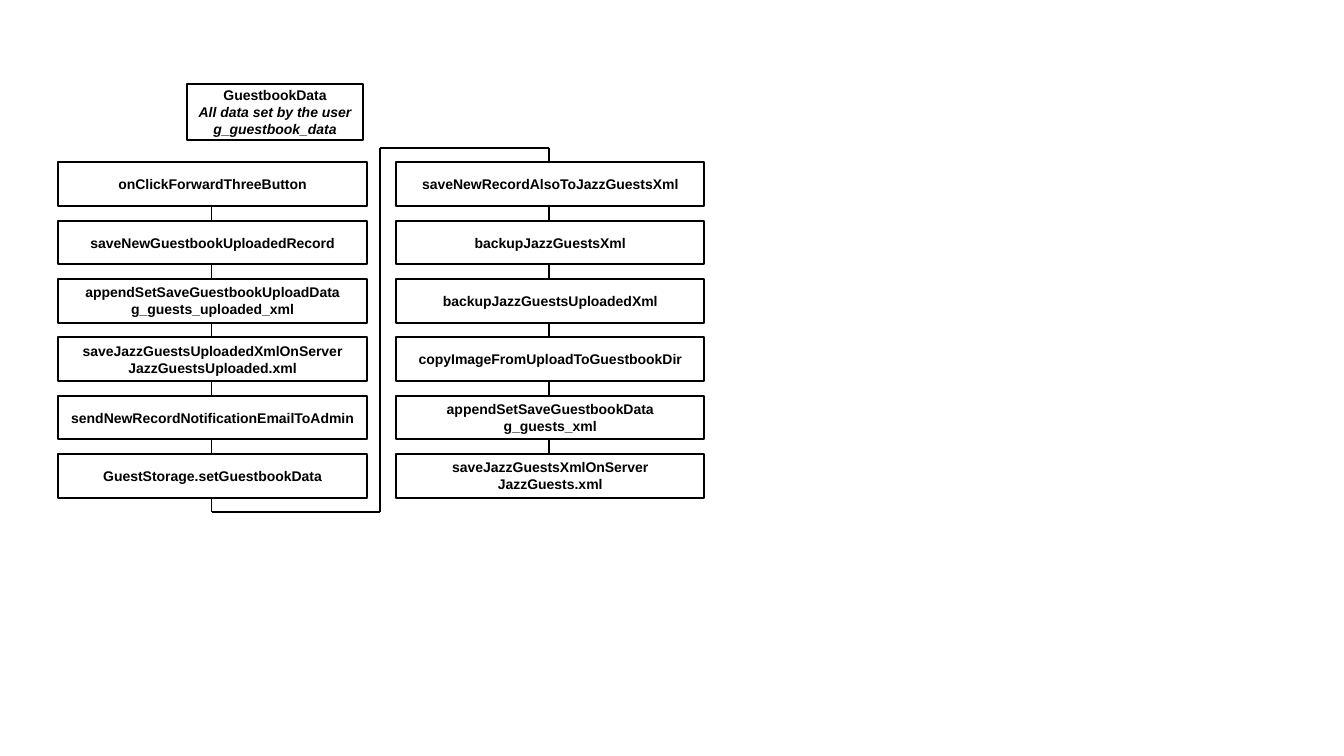
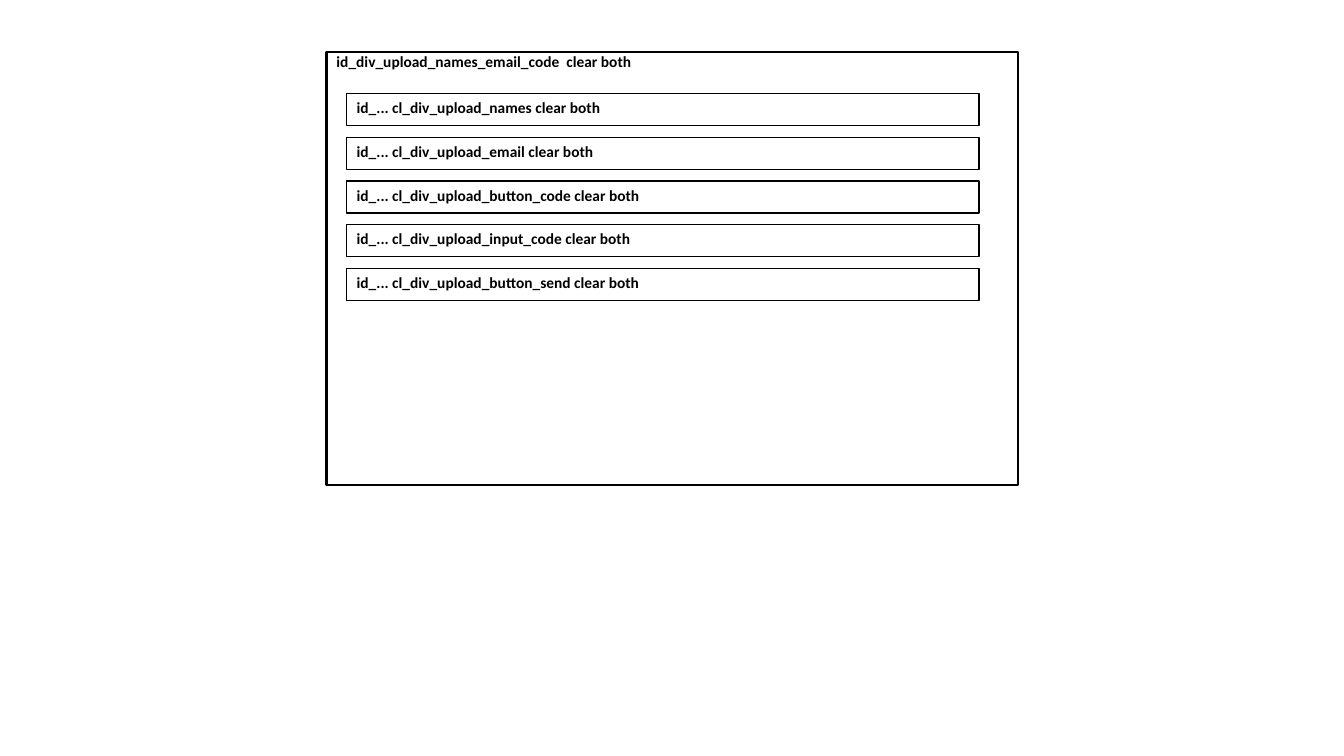
from pptx import Presentation
from pptx.dml.color import RGBColor
from pptx.enum.shapes import MSO_CONNECTOR, MSO_SHAPE
from pptx.enum.text import MSO_ANCHOR, PP_ALIGN
from pptx.oxml.ns import qn
from pptx.util import Cm, Pt
from lxml.etree import SubElement

COLORS = {"ink": "000000"}


class DiagramDeck:
    """Holds the shared style and the slide being drawn."""

    ink = RGBColor.from_string(COLORS["ink"])
    flow_font = ("Arial", 10)
    layout_font = ("Calibri", 11)

    def __init__(self):
        self.presentation = Presentation()
        self.presentation.slide_width = Cm(33.87)
        self.presentation.slide_height = Cm(19.05)
        self.slide = None

    def new_slide(self):
        blank = self.presentation.slide_layouts[6]
        self.slide = self.presentation.slides.add_slide(blank)

    def outlined_box(self, left, top, width, height, text, font, line_width,
                     align, anchor):
        box = self.slide.shapes.add_shape(
            MSO_SHAPE.RECTANGLE, Cm(left), Cm(top), Cm(width), Cm(height))
        box.shadow.inherit = False
        box.fill.background()
        box.line.color.rgb = self.ink
        box.line.width = Pt(line_width)
        frame = box.text_frame
        frame.word_wrap = True
        frame.vertical_anchor = anchor
        frame.text = text
        for paragraph in frame.paragraphs:
            paragraph.alignment = align
            for run in paragraph.runs:
                run.font.name = font[0]
                run.font.size = Pt(font[1])
                run.font.bold = True
                run.font.color.rgb = self.ink
        return box

    def flow_box(self, left, top, width, height, text):
        return self.outlined_box(left, top, width, height, text, self.flow_font,
                                 1.5, PP_ALIGN.CENTER, MSO_ANCHOR.MIDDLE)

    def div_box(self, left, top, width, height, text, line_width=1):
        return self.outlined_box(left, top, width, height, text, self.layout_font,
                                 line_width, PP_ALIGN.LEFT, MSO_ANCHOR.TOP)

    def polyline(self, *points):
        """Join consecutive points with straight connectors."""
        for (x1, y1), (x2, y2) in zip(points, points[1:]):
            link = self.slide.shapes.add_connector(
                MSO_CONNECTOR.STRAIGHT, Cm(x1), Cm(y1), Cm(x2), Cm(y2))
            link.line.color.rgb = self.ink
            link.line.width = Pt(1.25)
            SubElement(link._element.spPr, qn("a:effectLst"))


# Call sequence: left column first, then right column
UPLOAD_CALLS = [
    "onClickForwardThreeButton",
    "saveNewGuestbookUploadedRecord",
    "appendSetSaveGuestbookUploadData\ng_guests_uploaded_xml",
    "saveJazzGuestsUploadedXmlOnServer\nJazzGuestsUploaded.xml",
    "sendNewRecordNotificationEmailToAdmin",
    "GuestStorage.setGuestbookData",
]
GUESTBOOK_CALLS = [
    "saveNewRecordAlsoToJazzGuestsXml",
    "backupJazzGuestsXml",
    "backupJazzGuestsUploadedXml",
    "copyImageFromUploadToGuestbookDir",
    "appendSetSaveGuestbookData\ng_guests_xml",
    "saveJazzGuestsXmlOnServer\nJazzGuests.xml",
]
UPLOAD_DIVS = ["names", "email", "button_code", "input_code", "button_send"]


def draw_call_flow(deck):
    deck.new_slide()
    first_top, pitch, width, height = 4.09, 1.47, 7.77, 1.1

    # Data object above the flow
    guestbook_data = deck.flow_box(
        4.72, 2.11, 4.42, 1.42,
        "GuestbookData\nAll data set by the user g_guestbook_data")
    guestbook_data.text_frame.paragraphs[1].runs[0].font.italic = True

    # Two columns of calls, each linked downwards
    upload_axis, guestbook_axis = 5.33, 13.84
    for left, axis, calls in ((1.47, upload_axis, UPLOAD_CALLS),
                              (9.98, guestbook_axis, GUESTBOOK_CALLS)):
        for row, call in enumerate(calls):
            top = first_top + row * pitch
            deck.flow_box(left, top, width, height, call)
            if row:
                deck.polyline((axis, top - pitch + height), (axis, top))

    # Link from the foot of the left column to the head of the right one
    foot = first_top + (len(UPLOAD_CALLS) - 1) * pitch + height
    gap, channel = pitch - height, 9.58
    deck.polyline((upload_axis, foot), (upload_axis, foot + gap),
                  (channel, foot + gap), (channel, first_top - gap),
                  (guestbook_axis, first_top - gap),
                  (guestbook_axis, first_top))


def draw_div_layout(deck):
    deck.new_slide()

    # Enclosing div, with its name close to the upper edge
    outer_div = deck.div_box(8.23, 1.32, 17.42, 10.9,
                             "id_div_upload_names_email_code  clear both", 1.5)
    outer_div.text_frame.margin_top = Cm(0)

    # Nested divs
    for row, name in enumerate(UPLOAD_DIVS):
        deck.div_box(8.74, 2.36 + row * 1.1, 15.93, 0.81,
                     f"id_... cl_div_upload_{name} clear both")


def main():
    deck = DiagramDeck()
    draw_call_flow(deck)
    draw_div_layout(deck)
    deck.presentation.save("out.pptx")


if __name__ == "__main__":
    main()
